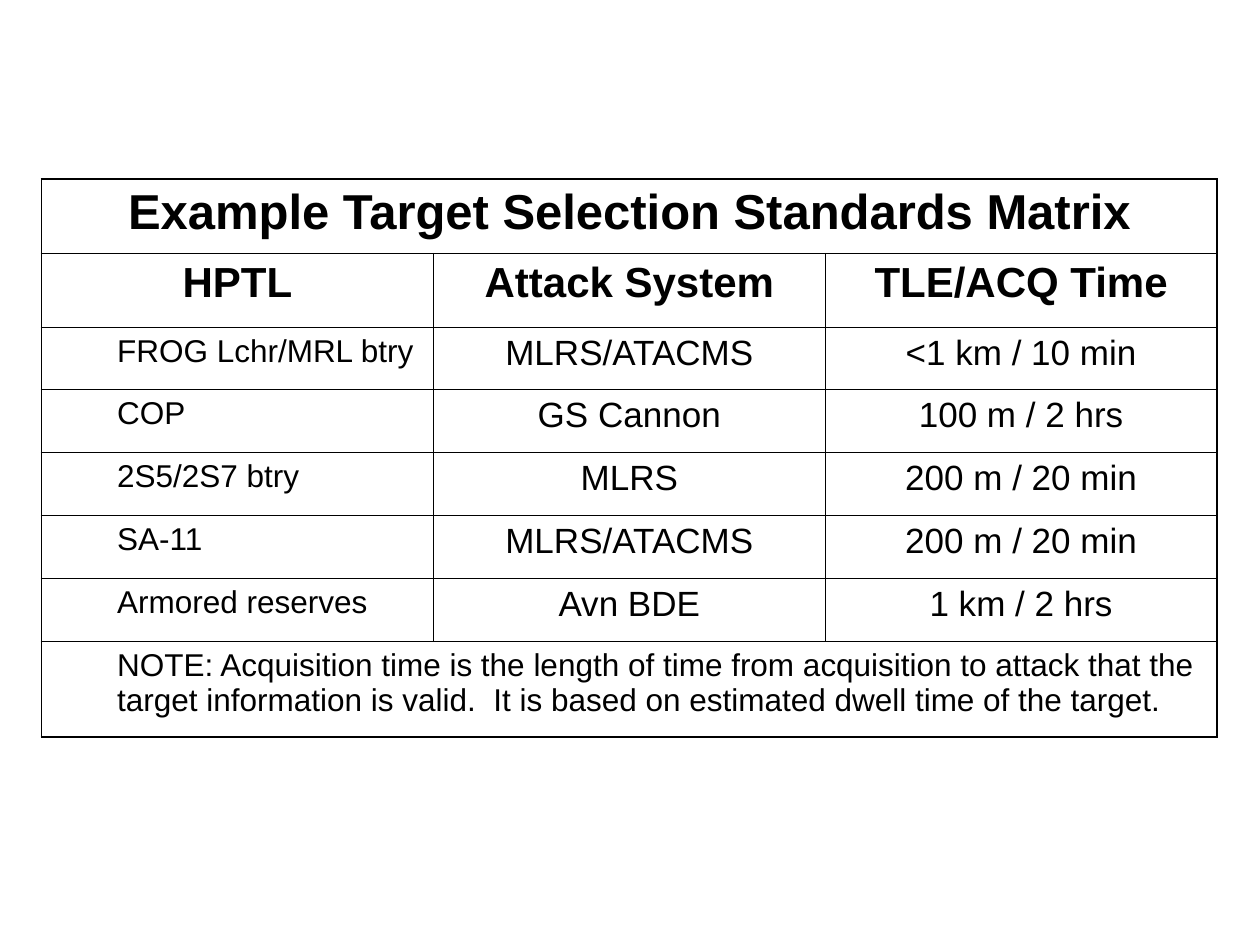
from lxml.etree import SubElement
from pptx import Presentation
from pptx.dml.color import RGBColor
from pptx.enum.text import PP_ALIGN as Align
from pptx.oxml.ns import qn
from pptx.util import Inches, Pt

BLACK = RGBColor(0x00, 0x00, 0x00)
OUTER, INNER = 1.08, 0.45
TITLE = {"size": Pt(28), "bold": True}
HEADING = {"size": Pt(24), "bold": True}
TARGET = {"size": Pt(18), "bold": False}
VALUE = {"size": Pt(20), "bold": False}

ROWS = [
    ["Example Target Selection Standards Matrix"],
    ["HPTL", "Attack System", "TLE/ACQ Time"],
    ["FROG Lchr/MRL btry", "MLRS/ATACMS", "<1 km / 10 min"],
    ["COP", "GS Cannon", "100 m / 2 hrs"],
    ["2S5/2S7 btry", "MLRS", "200 m / 20 min"],
    ["SA-11", "MLRS/ATACMS", "200 m / 20 min"],
    ["Armored reserves", "Avn BDE", "1 km / 2 hrs"],
    ["NOTE: Acquisition time is the length of time from acquisition to attack "
     "that the target information is valid.  It is based on estimated dwell "
     "time of the target."],
]
HEIGHTS = [0.59, 0.59, 0.49, 0.5, 0.5, 0.5, 0.5, 0.76]
COLUMNS = 3


class MatrixSlide:
    def __init__(self, page, font="Arial", color=BLACK):
        self.page = page
        self.font = font
        self.color = color

    def table(self, rows, heights, columns, left, top, width):
        frame = self.page.shapes.add_table(
            len(rows), columns, Inches(left), Inches(top),
            Inches(width), Inches(sum(heights)))
        table = frame.table
        table.first_row = table.horz_banding = False
        for column in table.columns:
            column.width = Inches(width / columns)
        for row, (texts, height) in enumerate(zip(rows, heights)):
            table.rows[row].height = Inches(height)
            for column in range(columns):
                self.borders(table.cell(row, column), {
                    "L": column == 0,
                    "R": column == columns - 1 or len(texts) == 1,
                    "T": row == 0,
                    "B": row == len(rows) - 1,
                })
            if len(texts) == 1:
                table.cell(row, 0).merge(table.cell(row, columns - 1))
            for column, text in enumerate(texts):
                self.text(table.cell(row, column), text, row, column)

    def borders(self, cell, edges):
        properties = cell._tc.get_or_add_tcPr()
        for side, is_outer in edges.items():
            width = Pt(OUTER if is_outer else INNER)
            line = SubElement(properties, qn(f"a:ln{side}"), w=str(width))
            fill = SubElement(line, qn("a:solidFill"))
            SubElement(fill, qn("a:srgbClr"), val=str(self.color))
        cell.fill.background()

    def text(self, cell, text, row, column):
        para = cell.text_frame.paragraphs[0]
        if row < 2:
            style = HEADING if row else TITLE
        else:
            style = VALUE if column else TARGET
        if style is TARGET:
            para.level = 1
            para._p.get_or_add_pPr().set("marL", str(Inches(0.5)))
            para.alignment = Align.LEFT
        else:
            para.alignment = Align.CENTER
        para.space_before = style["size"] // 4
        span = para.add_run()
        span.text = text
        for name, value in {"name": self.font, **style}.items():
            setattr(span.font, name, value)
        span.font.color.rgb = self.color


def main():
    deck = Presentation()
    deck.slide_width, deck.slide_height = Inches(10), Inches(7.5)
    page = deck.slides.add_slide(deck.slide_layouts[6])
    MatrixSlide(page).table(ROWS, HEIGHTS, COLUMNS, 0.33, 1.42, 9.33)
    deck.save("out.pptx")


if __name__ == "__main__":
    main()
